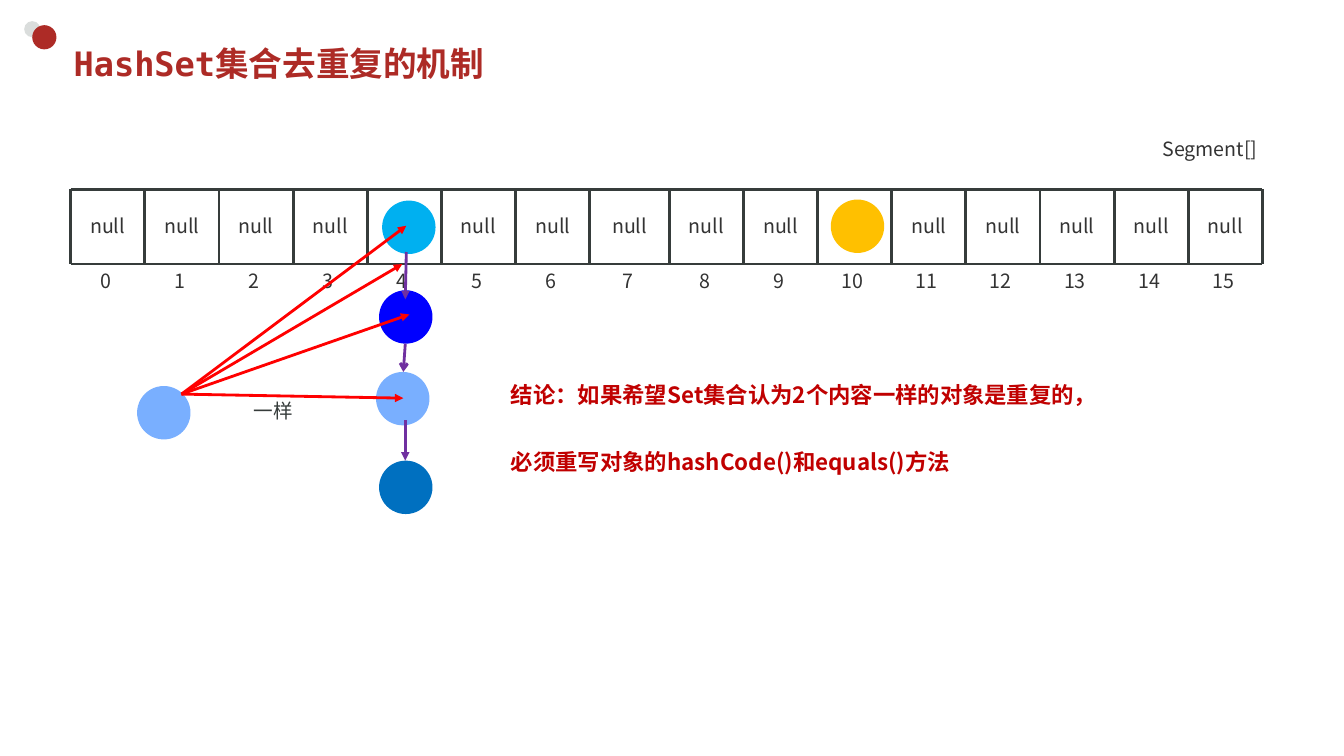
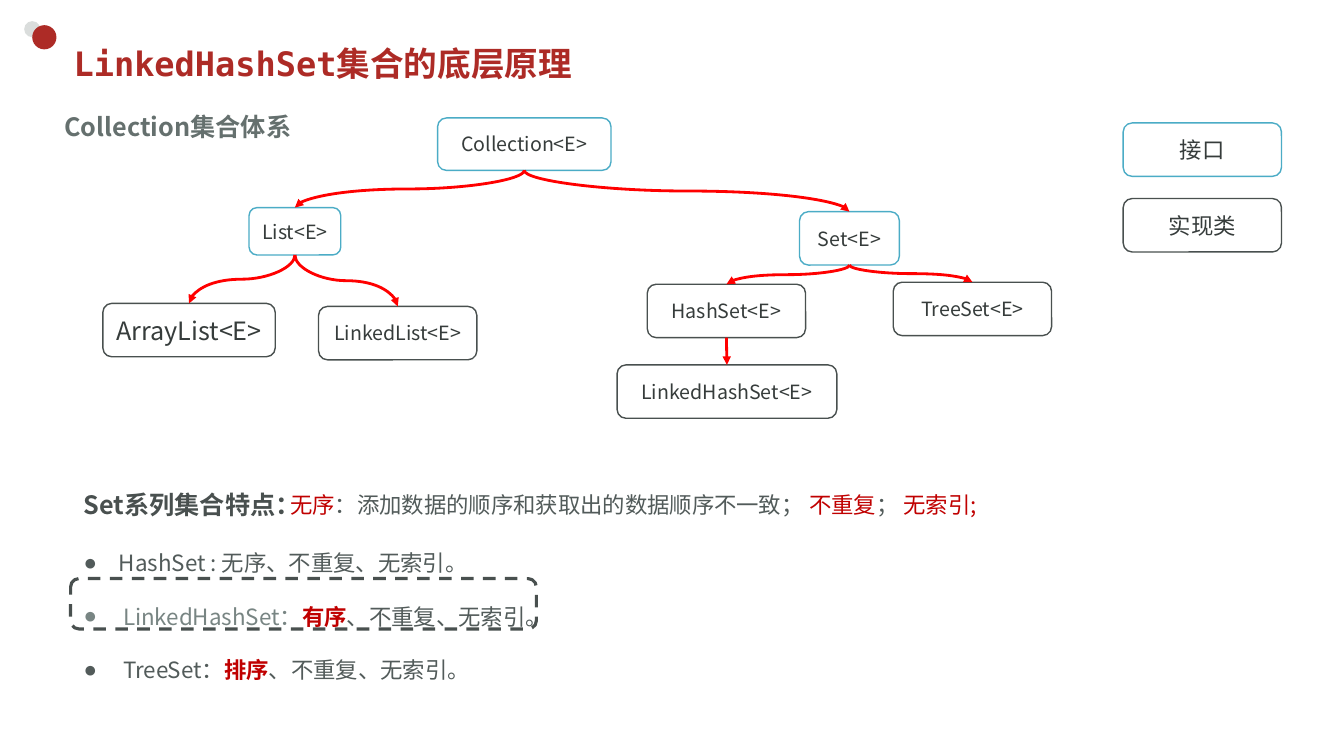
from dataclasses import dataclass

from lxml.etree import SubElement
from pptx import Presentation
from pptx.dml.color import RGBColor
from pptx.enum.dml import MSO_LINE
from pptx.enum.shapes import MSO_CONNECTOR, MSO_SHAPE
from pptx.enum.text import MSO_ANCHOR, MSO_AUTO_SIZE, PP_ALIGN
from pptx.oxml.ns import qn
from pptx.util import Inches, Pt


@dataclass(frozen=True)
class Theme:
    brand: str = "AD2B26"
    pale: str = "DADDDC"
    ink: str = "363C3B"
    label: str = "333333"
    body: str = "525B5A"
    muted: str = "788583"
    heading: str = "65706E"
    frame: str = "49504F"
    interface: str = "4BACC6"
    accent: str = "C00000"
    arrow: str = "FF0000"
    chain: str = "7030A0"
    node: str = "79AFFF"
    white: str = "FFFFFF"
    mono: str = "DejaVu Sans Mono"
    sans: str = "Noto Sans CJK SC"
    text: str = "Noto Sans CJK JP"
    title_size: int = 24
    large: int = 18
    medium: int = 16
    small: int = 14


THEME = Theme()
TITLE_AREA = (0.63, 0.37, 11.75, 0.52)


def color(value):
    return RGBColor.from_string(value)


def place(shape, left, top, width, height):
    shape.left, shape.top = Inches(left), Inches(top)
    shape.width, shape.height = Inches(width), Inches(height)


def write(para, spans, size, face, spacing=None, align=PP_ALIGN.LEFT):
    para.alignment = align
    para.space_before = Pt(0)
    if spacing:
        para.line_spacing = spacing
    _, base_color, base_bold = spans[0]
    font = para.font
    font.size, font.name, font.bold = Pt(size), face, base_bold
    font.color.rgb = color(base_color)
    east = SubElement(font._rPr, qn("a:ea"))
    east.set("typeface", THEME.sans if face == THEME.mono else face)
    for text, ink, bold in spans:
        span = para.add_run()
        span.text = text
        if ink != base_color:
            span.font.color.rgb = color(ink)
        if bold != base_bold:
            span.font.bold = bold


def add_text(page, area, lines, size, face=THEME.sans, spacing=None, align=PP_ALIGN.LEFT):
    box = page.shapes.add_textbox(*map(Inches, area))
    frame = box.text_frame
    frame.word_wrap = True
    for index, spans in enumerate(lines):
        para = frame.add_paragraph() if index else frame.paragraphs[0]
        write(para, spans, size, face, spacing, align)


def add_shape(page, kind, area, fill=None, line=None, weight=1):
    shape = page.shapes.add_shape(kind, *map(Inches, area))
    shape.shadow.inherit = False
    if fill:
        shape.fill.solid()
        shape.fill.fore_color.rgb = color(fill)
    else:
        shape.fill.background()
    if line:
        shape.line.color.rgb = color(line)
        shape.line.width = Pt(weight)
    else:
        shape.line.fill.background()
    return shape


def add_circle(page, left, top, fill, size=0.53):
    return add_shape(page, MSO_SHAPE.OVAL, (left, top, size, size), fill)


def add_node(page, text, area, line, size=THEME.small, face=THEME.text):
    node = add_shape(page, MSO_SHAPE.ROUNDED_RECTANGLE, area, THEME.white, line)
    frame = node.text_frame
    frame.word_wrap = True
    frame.vertical_anchor = MSO_ANCHOR.MIDDLE
    write(frame.paragraphs[0], [(text, THEME.ink, False)], size, face, align=PP_ALIGN.CENTER)
    return node


def add_line(page, start, end, ink, head=None, kind=MSO_CONNECTOR.STRAIGHT):
    line = page.shapes.add_connector(kind, *map(Inches, (*start, *end)))
    line.line.color.rgb = color(ink)
    line.line.width = Pt(2)
    if head:
        SubElement(line.line._get_or_add_ln(), qn("a:tailEnd")).set("type", head)
    SubElement(line._element.spPr, qn("a:effectLst"))
    return line


def add_branch(page, parent, child):
    start_x = parent.left + parent.width // 2
    start_y = parent.top + parent.height
    end_x = child.left + child.width // 2
    across, down = end_x - start_x, child.top - start_y
    straight = abs(across) < Inches(0.02)
    kind = MSO_CONNECTOR.STRAIGHT if straight else MSO_CONNECTOR.CURVE
    line = add_line(page, (0, 0), (1, 1), THEME.arrow, "triangle", kind)
    line.begin_connect(parent, 2)
    line.end_connect(child, 0)
    if straight:
        return
    line.width, line.height = down, abs(across)
    line.left = (start_x + end_x - down) // 2
    line.top = (start_y + child.top - abs(across)) // 2
    frame = line._element.spPr.find(qn("a:xfrm"))
    for name in ("flipH", "flipV"):
        frame.attrib.pop(name, None)
    frame.set("rot", str((270 if across > 0 else 90) * 60000))
    if across > 0:
        frame.set("flipH", "1")


def add_bullet(para, indent):
    properties = para._p.get_or_add_pPr()
    properties.set("marL", str(Inches(indent)))
    properties.set("indent", str(-Inches(indent)))
    SubElement(properties, qn("a:buChar")).set("char", "●")


def style_master(deck, page):
    master = deck.slide_master
    place(master.placeholders[0], *TITLE_AREA)
    for left, top, size, fill in ((0.24, 0.21, 0.16, THEME.pale), (0.32, 0.25, 0.24, THEME.brand)):
        dot = add_circle(page, left, top, fill, size)
        master.shapes._spTree.append(dot._element)


def add_page(deck, layout, title):
    page = deck.slides.add_slide(deck.slide_layouts[layout])
    heading = page.shapes.title
    place(heading, *TITLE_AREA)
    frame = heading.text_frame
    frame.auto_size = MSO_AUTO_SIZE.NONE
    frame.vertical_anchor = MSO_ANCHOR.MIDDLE
    write(frame.paragraphs[0], [(title, THEME.brand, True)], THEME.title_size, THEME.mono)
    return page


def spread(first, last, count):
    return [first + (last - first) * index / (count - 1) for index in range(count)]


def draw_array(page):
    top, bottom, label_width = 1.88, 2.62, 0.7
    edges = spread(0.7, 5.85, 8) + spread(6.64, 12.52, 9)
    occupied = (4, 10)
    for y in (top, bottom):
        add_line(page, (edges[0], y), (edges[-1], y), THEME.ink)
    for x in edges:
        add_line(page, (x, top), (x, bottom), THEME.ink)
    for index, (left, right) in enumerate(zip(edges, edges[1:])):
        label_left = (left + right - label_width) / 2
        labels = [(str(index), label_left - 0.02, bottom)]
        if index not in occupied:
            labels.append(("null", label_left, 2.07))
        for text, x, y in labels:
            add_text(page, (x, y, label_width, 0.34), [[(text, THEME.label, False)]],
                     THEME.small, align=PP_ALIGN.CENTER)
    add_text(page, (11.43, 1.31, 1.17, 0.34), [[("Segment[]", THEME.label, False)]], THEME.small)


def build_hash_page(page):
    draw_array(page)
    for left, top, fill in (
        (8.24, 1.98, "FFC000"),
        (3.79, 1.99, "00B0F0"),
        (3.76, 2.88, "0000FF"),
        (3.73, 3.69, THEME.node),
        (3.76, 4.57, "0070C0"),
        (1.36, 3.83, THEME.node),
    ):
        add_circle(page, left, top, fill)
    for start, end, head in (
        ((4.03, 2.5), (4.02, 2.97), "triangle"),
        ((4.02, 3.41), (4, 3.69), "arrow"),
        ((4.02, 4.17), (4.02, 4.57), "triangle"),
    ):
        add_line(page, start, end, THEME.chain, head)
    for end in ((3.99, 2.62), (4.03, 2.24), (4.06, 3.12), (4, 3.95)):
        add_line(page, (1.8, 3.91), end, THEME.arrow, "triangle")
    add_text(page, (2.42, 3.91, 0.7, 0.34), [[("一样", THEME.ink, False)]], THEME.small)
    conclusion = (
        "结论：如果希望Set集合认为2个内容一样的对象是重复的，",
        "必须重写对象的hashCode()和equals()方法",
    )
    add_text(page, (4.97, 3.33, 7.53, 1.34), [[(text, THEME.accent, True)] for text in conclusion],
             THEME.medium, THEME.text, 2.5)


def fill_feature_list(page):
    body = page.placeholders[1]
    place(body, 0.73, 5.13, 4.98, 1.65)
    frame = body.text_frame
    frame.auto_size = MSO_AUTO_SIZE.NONE
    frame.vertical_anchor = MSO_ANCHOR.TOP
    rest = ("、不重复、无索引。", THEME.body, False)
    features = (
        (0.35, [("HashSet : 无序、不重复、无索引。", THEME.body, False)]),
        (0.39, [("LinkedHashSet：", THEME.muted, False), ("有序", THEME.accent, True), rest]),
        (0.39, [("TreeSet：", THEME.body, False), ("排序", THEME.accent, True), rest]),
    )
    for index, (indent, spans) in enumerate(features):
        para = frame.add_paragraph() if index else frame.paragraphs[0]
        para.line_spacing = 2.0
        para.space_before = Pt(0)
        add_bullet(para, indent)
        write(para, spans, THEME.medium, THEME.text)


def draw_hierarchy(page):
    interface, concrete = THEME.interface, THEME.frame
    for text, top, line in (("接口", 1.22, interface), ("实现类", 1.97, concrete)):
        add_node(page, text, (11.14, top, 1.57, 0.53), line, THEME.medium, THEME.mono)
    nodes = {}
    for name, area, line, size, parent in (
        ("Collection", (4.34, 1.17, 1.72, 0.52), interface, THEME.small, None),
        ("List", (2.47, 2.06, 0.91, 0.47), interface, THEME.small, "Collection"),
        ("Set", (7.93, 2.1, 0.99, 0.53), interface, THEME.small, "Collection"),
        ("ArrayList", (1.02, 3.01, 1.71, 0.53), concrete, THEME.large, "List"),
        ("LinkedList", (3.16, 3.04, 1.57, 0.53), concrete, THEME.small, "List"),
        ("HashSet", (6.42, 2.82, 1.57, 0.53), concrete, THEME.small, "Set"),
        ("TreeSet", (8.86, 2.8, 1.57, 0.53), concrete, THEME.small, "Set"),
        ("LinkedHashSet", (6.12, 3.62, 2.18, 0.53), concrete, THEME.small, "HashSet"),
    ):
        nodes[name] = add_node(page, f"{name}<E>", area, line, size)
        if parent:
            add_branch(page, nodes[parent], nodes[name])


def build_linked_page(page):
    fill_feature_list(page)
    add_text(page, (0.54, 0.91, 8.38, 0.5), [[("Collection集合体系", THEME.heading, True)]],
             THEME.large, spacing=1.5)
    draw_hierarchy(page)
    highlight = add_shape(page, MSO_SHAPE.ROUNDED_RECTANGLE, (0.7, 5.74, 4.62, 0.5),
                          line=THEME.frame, weight=2.25)
    highlight.line.dash_style = MSO_LINE.DASH
    summary = [
        ("无序", THEME.accent, False),
        ("：添加数据的顺序和获取出的数据顺序不一致； ", THEME.body, False),
        ("不重复", THEME.accent, False),
        ("； ", THEME.body, False),
        ("无索引;", THEME.accent, False),
    ]
    add_text(page, (2.78, 4.56, 10.41, 0.57), [summary], THEME.medium, THEME.text, 2.0)
    add_text(page, (0.73, 4.51, 2.28, 0.63), [[("Set系列集合特点：", THEME.frame, True)]],
             THEME.large, THEME.text, 2.0)


def main():
    deck = Presentation()
    deck.slide_width, deck.slide_height = Inches(13.33), Inches(7.5)
    hash_page = add_page(deck, 5, "HashSet集合去重复的机制")
    style_master(deck, hash_page)
    build_hash_page(hash_page)
    build_linked_page(add_page(deck, 1, "LinkedHashSet集合的底层原理"))
    deck.save("out.pptx")


if __name__ == "__main__":
    main()
